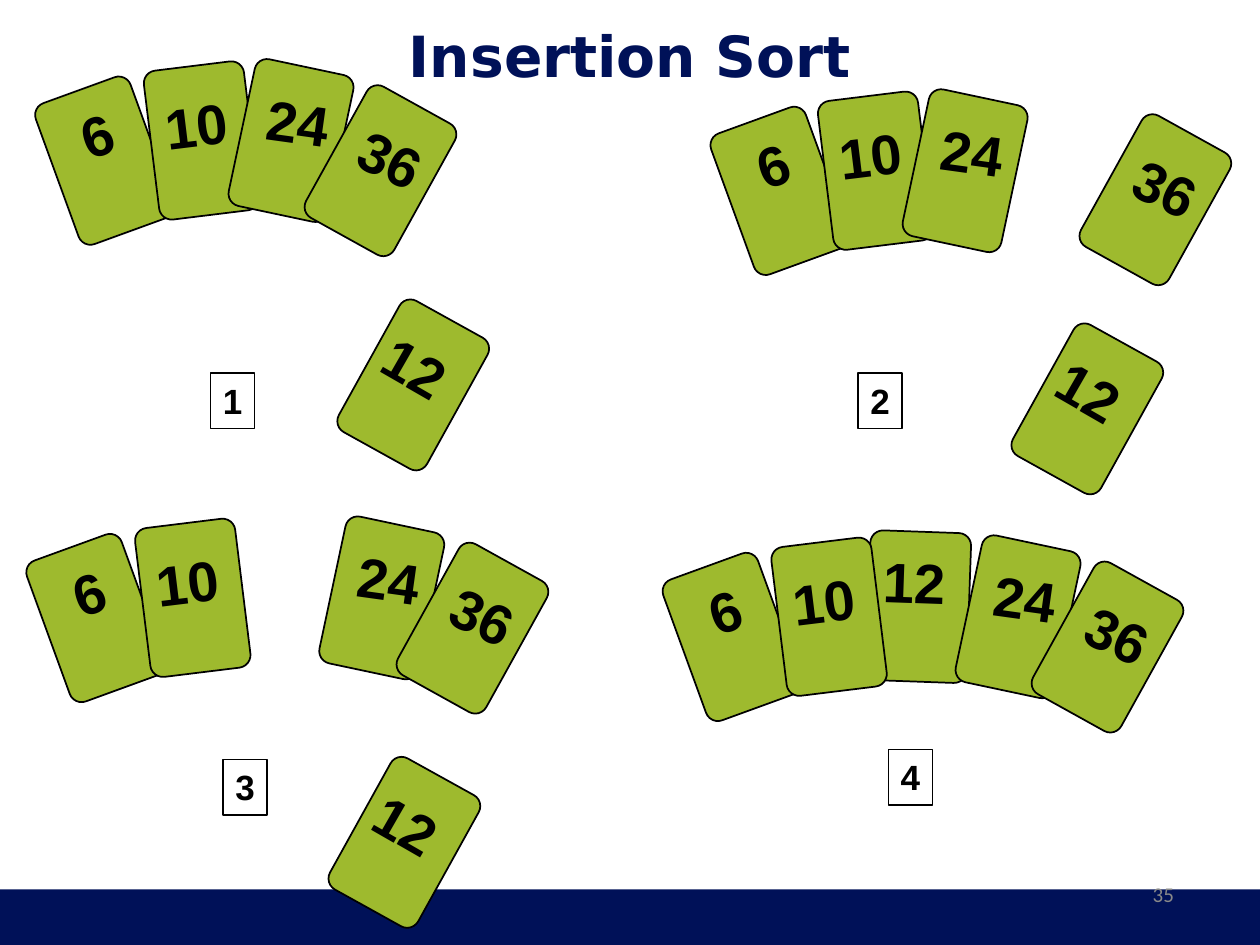
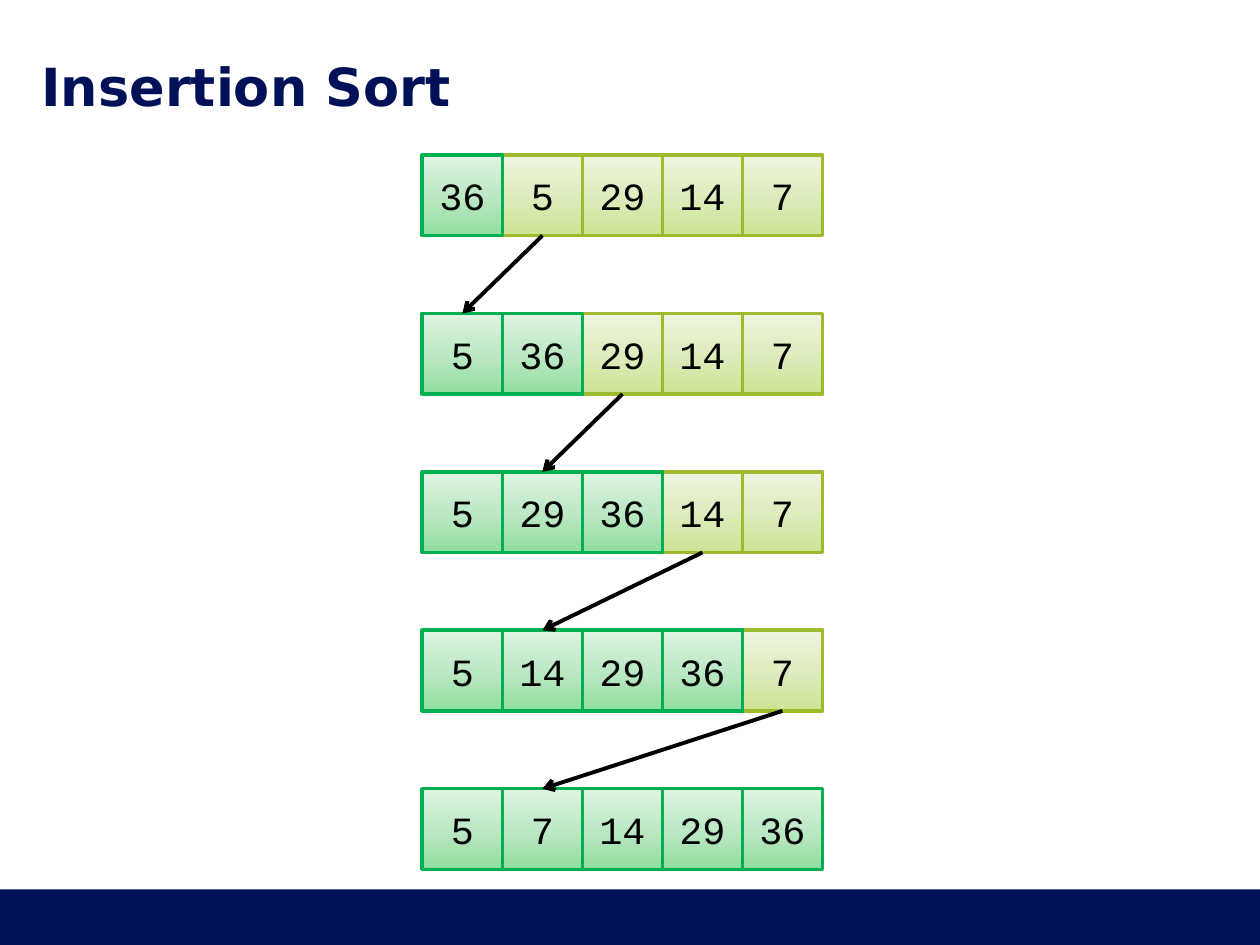
import copy

import lxml.etree
import pptx
import pptx.dml.color
import pptx.enum.shapes
import pptx.enum.text
import pptx.oxml.ns
import pptx.util

Inches = pptx.util.Inches
Pt = pptx.util.Pt
qn = pptx.oxml.ns.qn
SHAPE = pptx.enum.shapes.MSO_SHAPE
ANCHOR = pptx.enum.text.MSO_ANCHOR
ALIGN = pptx.enum.text.PP_ALIGN

NAVY, BLACK, GREY, CARD_GREEN = "001158", "000000", "898989", "9EBA2E"
UNSORTED = (CARD_GREEN, ("CCE493", "DEECBE", "EEF5E0"))
SORTED = ("00B050", ("91DEA0", "BDE8C5", "DFF3E3"))

CARD_STYLES = {  # name: (card tilt, number dx, number dy, number tilt)
    "6": (340, 0.12, 0.07, 341),
    "10": (353, 0.01, 0.15, 353),
    "24": (12, 0.11, 0.13, 8),
    "36": (29, 0.14, 0.18, 25),
    "12": (29, 0.07, 0.14, 30),
    "12 placed": (2, 0.02, 0.08, 2),
}

CARD_STEPS = [  # (step number x, y, cards from back to front)
    (1.67, 2.96, [("6", 0.43, 0.68), ("10", 1.2, 0.52), ("24", 1.91, 0.52),
                  ("36", 2.62, 0.76), ("12", 2.88, 2.46)]),
    (6.81, 2.96, [("6", 5.79, 0.92), ("10", 6.55, 0.76), ("24", 7.26, 0.76),
                  ("36", 8.77, 0.99), ("12", 8.23, 2.65)]),
    (1.77, 6.03, [("6", 0.36, 4.31), ("10", 1.13, 4.15), ("24", 2.63, 4.15),
                  ("36", 3.35, 4.39), ("12", 2.81, 6.09)]),
    (7.05, 5.95, [("12 placed", 6.89, 4.22), ("6", 5.41, 4.46), ("10", 6.18, 4.3),
                  ("24", 7.68, 4.3), ("36", 8.39, 4.54)]),
]

NUMBERS = [36, 5, 29, 14, 7]
CELL = 0.64
FIRST_X, LAST_X = 3.35, 5.89
FIRST_Y, LAST_Y = 1.23, 6.26


def rgb(hex_colour):
    return pptx.dml.color.RGBColor.from_string(hex_colour)


class Deck:
    """Holds the shared style and the slide being drawn."""

    def __init__(self):
        self.prs = pptx.Presentation()
        self.prs.slide_width, self.prs.slide_height = Inches(10), Inches(7.5)
        self.shapes = None

    def slide(self, title, y, size, align, inset):
        self.shapes = self.prs.slides.add_slide(self.prs.slide_layouts[6]).shapes
        self.shape(SHAPE.RECTANGLE, 0, 7.06, 10, 0.44, fill=NAVY)
        tf = self.text(title, 0.33, y, 9.34, 0.47, size, "DejaVu Sans", NAVY, bold=True, align=align)
        tf.word_wrap = True
        tf.vertical_anchor = ANCHOR.MIDDLE
        tf.margin_left = tf.margin_right = Inches(inset)

    def add_run(self, tf, text, size, font, colour=BLACK, bold=False, align=ALIGN.LEFT):
        tf.word_wrap = False
        p = tf.paragraphs[0]
        p.alignment = align
        r = p.add_run()
        r.text = text
        r.font.size, r.font.name, r.font.bold = Pt(size), font, bold
        r.font.color.rgb = rgb(colour)

    def text(self, text, x, y, w, h, size, font, colour=BLACK, bold=False, align=ALIGN.LEFT, tilt=0):
        s = self.shapes.add_textbox(Inches(x), Inches(y), Inches(w), Inches(h))
        s.rotation = tilt
        self.add_run(s.text_frame, text, size, font, colour, bold, align)
        return s.text_frame

    def shape(self, kind, x, y, w, h, fill=None, line=None, width=1):
        s = self.shapes.add_shape(kind, Inches(x), Inches(y), Inches(w), Inches(h))
        s.shadow.inherit = False
        if fill:
            s.fill.solid()
            s.fill.fore_color.rgb = rgb(fill)
        else:
            s.fill.background()
        if line:
            s.line.color.rgb = rgb(line)
            s.line.width = Pt(width)
        else:
            s.line.fill.background()
        return s

    def card(self, x, y, tilt):
        s = self.shape(SHAPE.ROUNDED_RECTANGLE, x, y, 0.8, 1.19, CARD_GREEN, BLACK)
        s.adjustments[0] = 0.125
        s.rotation = tilt

    def card_number(self, number, x, y, tilt):
        width = 0.45 if len(number) == 1 else 0.7
        self.text(number, x, y, width, 0.63, 32, "Arial", bold=True, tilt=tilt)

    def step_number(self, number, x, y):
        s = self.shape(SHAPE.RECTANGLE, x, y, 0.35, 0.44, line=BLACK, width=0.75)
        s.text_frame.vertical_anchor = ANCHOR.TOP
        self.add_run(s.text_frame, number, 20, "Arial", bold=True)

    def cell(self, number, x, y, style):
        line, colours = style
        s = self.shape(SHAPE.RECTANGLE, x, y, CELL, CELL, line=line, width=2)
        s.fill.gradient()
        s.fill.gradient_angle = 90
        gs = s._element.spPr.find(".//" + qn("a:gs"))
        gs.addnext(copy.deepcopy(gs))
        for stop, position, colour in zip(s.fill.gradient_stops, (0, 0.5, 1), colours):
            stop.position = position
            stop.color.rgb = rgb(colour)
        s.text_frame.vertical_anchor = ANCHOR.MIDDLE
        self.add_run(s.text_frame, str(number), 22, "Courier New", align=ALIGN.CENTER)

    def arrow(self, x1, y1, x2, y2):
        s = self.shapes.add_connector(pptx.enum.shapes.MSO_CONNECTOR.STRAIGHT,
                                      Inches(x1), Inches(y1), Inches(x2), Inches(y2))
        s.line.color.rgb = rgb(BLACK)
        s.line.width = Pt(2.25)
        spPr = s._element.spPr
        lxml.etree.SubElement(spPr.find(qn("a:ln")), qn("a:tailEnd"), type="arrow")
        lxml.etree.SubElement(spPr, qn("a:effectLst"))


def draw_cards(deck):
    deck.slide("Insertion Sort", 0.2, 32.4, ALIGN.CENTER, 0.1)
    deck.text("35", 9.05, 6.95, 0.95, 0.4, 12, "Calibri", GREY)
    for step, (step_x, step_y, cards) in enumerate(CARD_STEPS, 1):
        for name, x, y in cards:
            deck.card(x, y, CARD_STYLES[name][0])
        for name, x, y in cards:
            _, dx, dy, tilt = CARD_STYLES[name]
            deck.card_number(name.split()[0], x + dx, y + dy, tilt)
        deck.step_number(str(step), step_x, step_y)


def draw_array(deck):
    deck.slide("Insertion Sort", 0.44, 30, ALIGN.LEFT, 0)
    count = len(NUMBERS)
    xs = [FIRST_X + i * (LAST_X - FIRST_X) / (count - 1) for i in range(count)]
    ys = [FIRST_Y + i * (LAST_Y - FIRST_Y) / (count - 1) for i in range(count)]
    for row, y in enumerate(ys):
        done = sorted(NUMBERS[:row + 1])
        values = done + NUMBERS[row + 1:]
        for col in reversed(range(count)):
            deck.cell(values[col], xs[col], y, SORTED if col <= row else UNSORTED)
        if row:
            target = done.index(NUMBERS[row])
            deck.arrow(xs[row] + CELL / 2, ys[row - 1] + CELL, xs[target] + CELL / 2, y)


def main():
    deck = Deck()
    draw_cards(deck)
    draw_array(deck)
    deck.prs.save("out.pptx")


if __name__ == "__main__":
    main()
